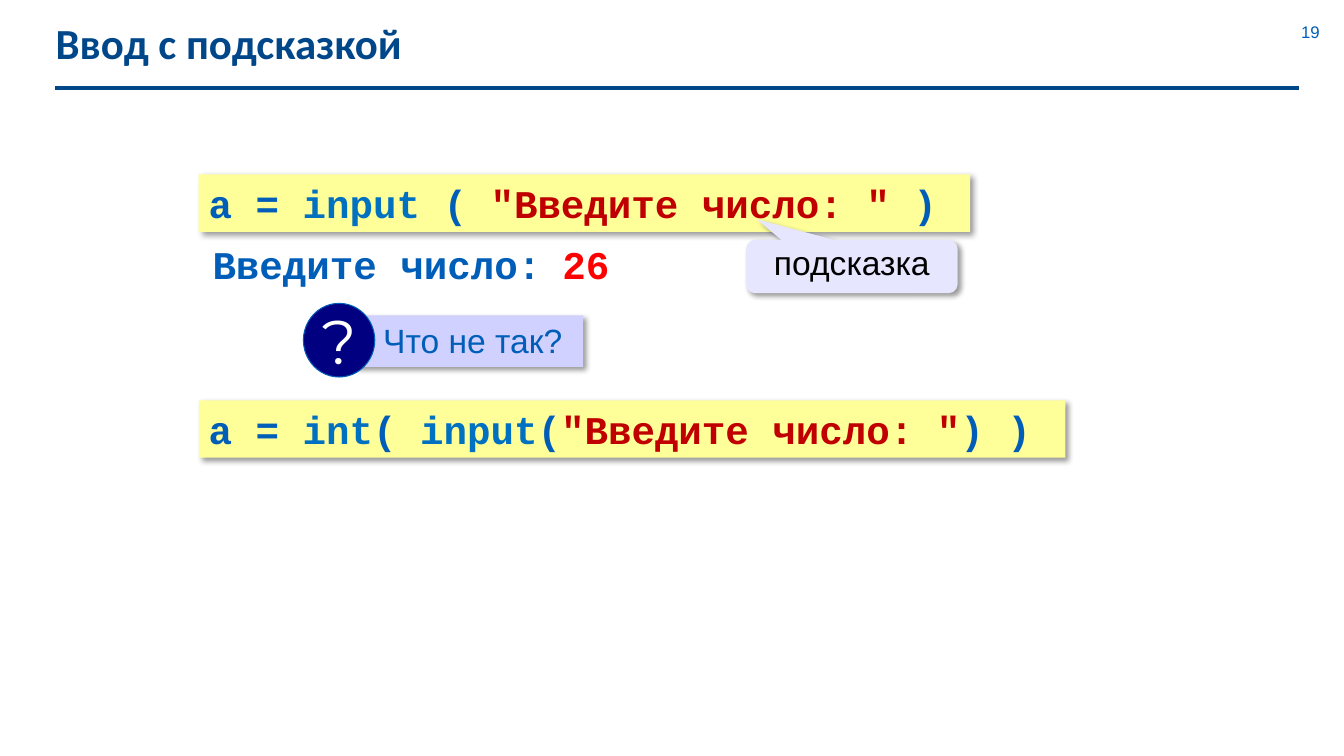
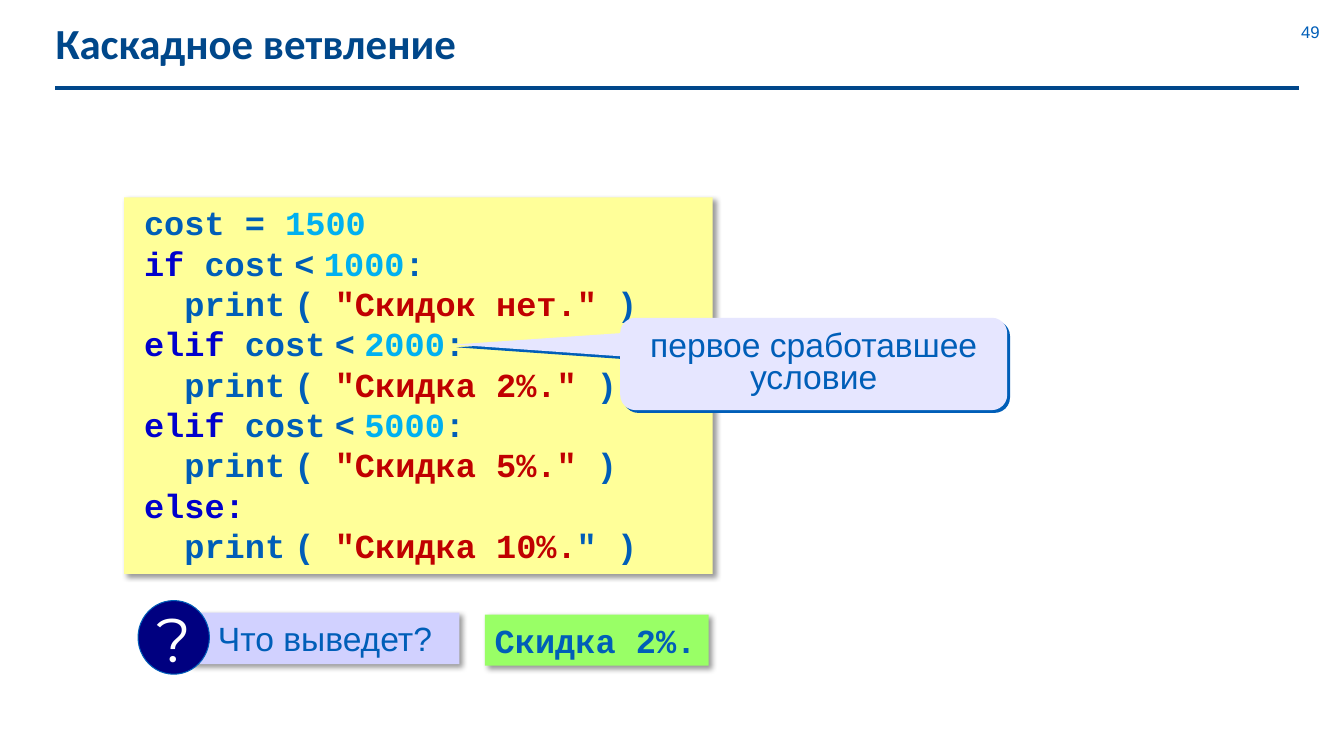
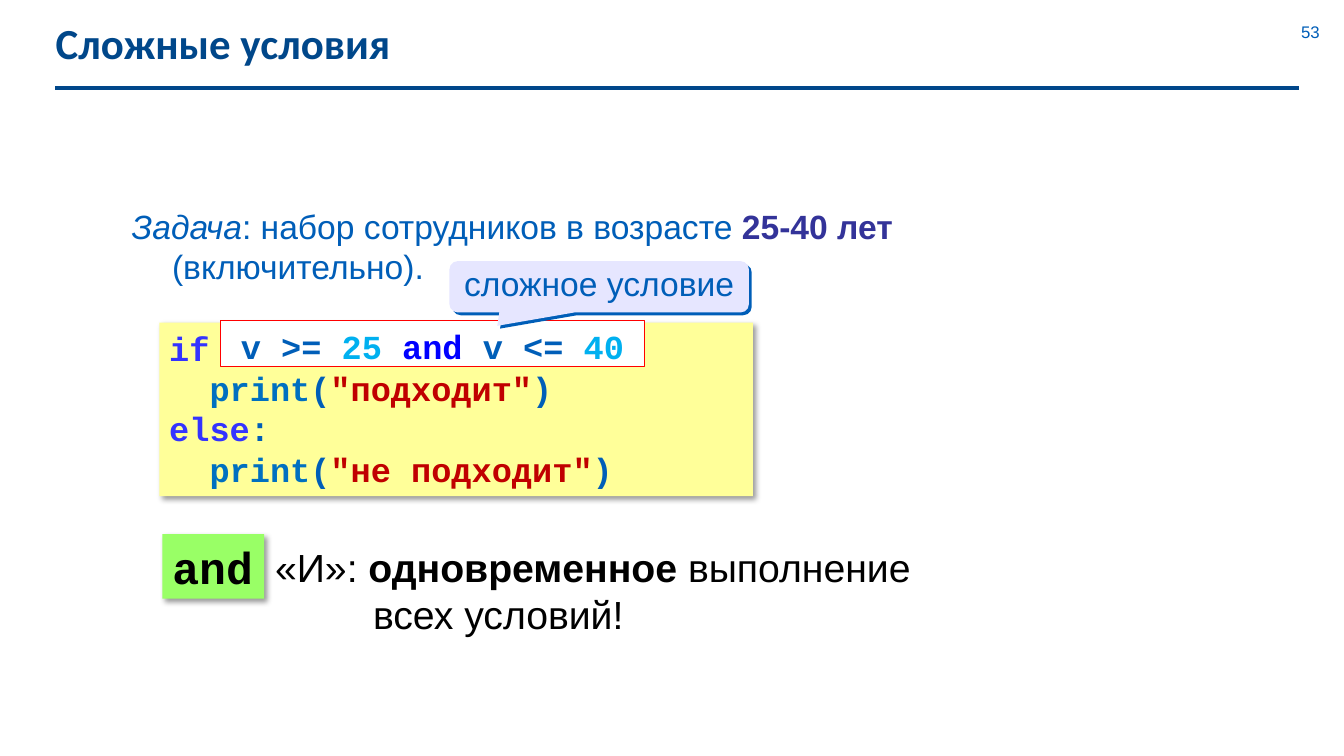
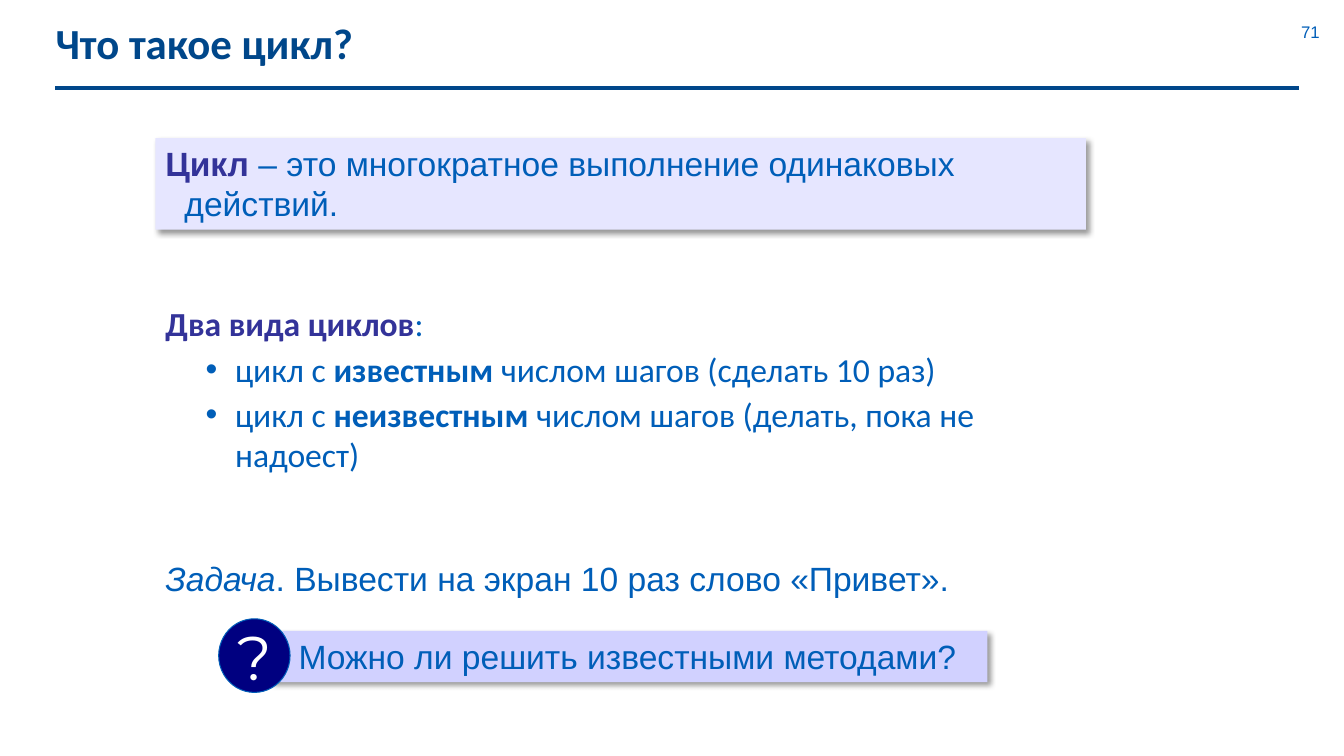
from dataclasses import dataclass

from lxml.etree import SubElement
from pptx import Presentation
from pptx.dml.color import RGBColor
from pptx.enum.shapes import MSO_CONNECTOR, MSO_SHAPE
from pptx.enum.text import MSO_ANCHOR, MSO_AUTO_SIZE, PP_ALIGN
from pptx.oxml.ns import qn
from pptx.util import Pt

INK, NAVY, BLACK, WHITE = "005EB8", "00478A", "000000", "FFFFFF"
STRING, NUMBER, BUILTIN, KEYWORD = "C00000", "00B0F0", "0070C0", "0000CC"
BRIGHT_KEYWORD, TERM, RED = "3333FF", "333399", "FF0000"
YELLOW, LILAC, LAVENDER, GREEN, DISC = "FFFF99", "D1D1FF", "E6E6FF", "99FF66", "000080"
SANS, MONO, HEADING, SIGN = "Arial", "Courier New", "Calibri", "Montserrat"
SOFT_SHADOW = (BLACK, 40, 4, 3)
HARD_SHADOW = (INK, 100, 0, 2.8)
LINE_HEIGHT = 1.2
CODE_STEP = 28.8


@dataclass
class Span:
    """A piece of text with one look."""
    text: str
    colour: str = INK
    bold: bool = False
    italic: bool = False
    font: str = ""


@dataclass
class Para:
    """A paragraph of spans with its indents, in points."""
    spans: list
    left: float = 0
    first: float = 0
    bullet: str = ""
    tab: float = 0
    before: float = 0


@dataclass
class Style:
    """The look shared by all paragraphs of one text."""
    size: float = 24
    font: str = SANS
    bold: bool = False
    align: PP_ALIGN = PP_ALIGN.LEFT
    spacing: float = LINE_HEIGHT


CODE = Style(font=MONO, bold=True)
LARGE_CODE = Style(28, MONO, True)
CALLOUT = Style(align=PP_ALIGN.CENTER, spacing=LINE_HEIGHT * 0.8)
THIN_SPACE = Span(" ", font=SANS)


def rgb(value):
    """Return the colour for a hex string."""
    return RGBColor.from_string(value)


def box_of(left, top, width, height):
    """Return four lengths in points."""
    return Pt(left), Pt(top), Pt(width), Pt(height)


def set_indents(para, item):
    """Set the margins, bullet and tab stop of a paragraph."""
    properties = para._p.get_or_add_pPr()
    properties.set("marL", str(Pt(item.left)))
    properties.set("indent", str(Pt(item.first)))
    if item.bullet:
        SubElement(properties, qn("a:buChar")).set("char", item.bullet)
    else:
        SubElement(properties, qn("a:buNone"))
    if item.tab:
        stops = SubElement(properties, qn("a:tabLst"))
        SubElement(stops, qn("a:tab"), pos=str(Pt(item.tab)), algn="l")


def write(frame, paras, style, anchor=MSO_ANCHOR.TOP, wrap=True):
    """Fill a text frame run by run."""
    frame.word_wrap = wrap
    frame.auto_size = MSO_AUTO_SIZE.NONE
    frame.vertical_anchor = anchor
    for index, item in enumerate(paras):
        para = frame.add_paragraph() if index else frame.paragraphs[0]
        para.alignment = style.align
        para.space_before = Pt(item.before)
        if style.spacing:
            para.line_spacing = Pt(round(style.size * style.spacing, 1))
        set_indents(para, item)
        for span in item.spans:
            run = para.add_run()
            run.text = span.text
            run.font.size = Pt(style.size)
            run.font.name = span.font or style.font
            run.font.bold = span.bold or style.bold
            run.font.italic = span.italic
            run.font.color.rgb = rgb(span.colour)


def add_shadow(shape, colour, alpha, blur, distance):
    """Give a shape an outer shadow falling to the lower right."""
    effects = shape.element.spPr.find(qn("a:effectLst"))
    outer = SubElement(effects, qn("a:outerShdw"), blurRad=str(Pt(blur)),
                       dist=str(Pt(distance)), dir="2700000", algn="tl", rotWithShape="0")
    tint = SubElement(outer, qn("a:srgbClr"), val=colour)
    SubElement(tint, qn("a:alpha"), val=str(alpha * 1000))


def add_panel(shapes, kind, box, fill, shadow=SOFT_SHADOW, outline=None):
    """Add a filled shape."""
    panel = shapes.add_shape(kind, *box_of(*box))
    panel.shadow.inherit = False
    panel.fill.solid()
    panel.fill.fore_color.rgb = rgb(fill)
    if outline:
        panel.line.color.rgb = rgb(outline)
        panel.line.width = Pt(0.75)
    else:
        panel.line.fill.background()
    if shadow:
        add_shadow(panel, *shadow)
    return panel


def add_card(page, box, fill, paras, style, wrap=True):
    """Add a rectangle with a soft shadow and text."""
    card = add_panel(page.shapes, MSO_SHAPE.RECTANGLE, box, fill)
    write(card.text_frame, paras, style, wrap=wrap)


def add_text(page, box, paras, style, anchor=MSO_ANCHOR.TOP):
    """Add a text box."""
    frame = page.shapes.add_textbox(*box_of(*box)).text_frame
    write(frame, paras, style, anchor)


def add_callout(page, box, tip, text, colour=INK, shadow=HARD_SHADOW):
    """Add a rounded callout whose tail ends at the given tip."""
    callout = add_panel(page.shapes, MSO_SHAPE.ROUNDED_RECTANGULAR_CALLOUT, box, LAVENDER, shadow)
    callout.adjustments[0], callout.adjustments[1] = tip
    write(callout.text_frame, [Para([Span(text, colour)])], CALLOUT, MSO_ANCHOR.MIDDLE)


def add_question(page, left, top, width, text):
    """Add a question bar with a round question mark."""
    shapes = page.shapes.add_group_shape().shapes
    bar = add_panel(shapes, MSO_SHAPE.RECTANGLE, (left + 36.5, top + 8.6, width, 36.7), LILAC)
    write(bar.text_frame, [Para([Span(text)], left=13.5)], Style())
    disc = add_panel(shapes, MSO_SHAPE.OVAL, (left, top, 51, 52.6), DISC, None, INK)
    write(disc.text_frame, [Para([Span("?", WHITE)])],
          Style(44, SIGN, align=PP_ALIGN.CENTER, spacing=0), MSO_ANCHOR.MIDDLE, False)


def prepare_master(deck):
    """Place the title on the master."""
    title = deck.slide_master.placeholders[0]
    title.left, title.top, title.width, title.height = box_of(32.5, 12, 879, 37.5)


def share_rule(deck):
    """Draw the rule below the title and move it to the master."""
    rule = deck.slides[0].shapes.add_connector(MSO_CONNECTOR.STRAIGHT, Pt(39.6), Pt(62.6),
                                               Pt(928), Pt(62.6))
    rule.line.color.rgb = rgb(NAVY)
    rule.line.width = Pt(3)
    SubElement(rule.element.spPr, qn("a:effectLst"))
    deck.slide_master.shapes.element.append(rule.element)


def add_page(deck, title, number, layout=5):
    """Add a slide with its title and page number."""
    page = deck.slides.add_slide(deck.slide_layouts[layout])
    frame = page.shapes.title.text_frame
    write(frame, [Para([Span(title, NAVY)])], Style(30.6, HEADING, True, spacing=0))
    frame.margin_top = 0
    add_text(page, (912, 15.8, 48, 14.4), [Para([Span(str(number))])],
             Style(12, align=PP_ALIGN.CENTER), MSO_ANCHOR.MIDDLE)
    return page


def build_prompt(deck):
    """Build the slide on input with a prompt."""
    page = add_page(deck, "Ввод с подсказкой", 19)
    prompt = Span('"Введите число: "', STRING)
    read = Span("input", BUILTIN)
    add_card(page, (142, 124.6, 551, 41), YELLOW,
             [Para([Span("a = "), read, Span(" ( "), prompt, Span(" )")])], LARGE_CODE)
    add_callout(page, (533, 171.4, 151, 38), (-0.45, -0.89), "подсказка", BLACK, SOFT_SHADOW)
    add_text(page, (144.7, 168, 250.5, 41), [Para([Span("Введите число:")])], LARGE_CODE)
    add_text(page, (394.6, 168, 48.5, 41), [Para([Span("26", RED)])], LARGE_CODE)
    add_question(page, 216.7, 216.7, 163.4, "Что не так?")
    add_card(page, (142, 286, 619, 41), YELLOW,
             [Para([Span("a = "), Span("int", BUILTIN), Span("( "), read, Span("("),
                    prompt, Span(") )")])], LARGE_CODE)


def branch(word, limit):
    """Return a condition line of the cascade."""
    return Para([Span(word, KEYWORD), Span(" cost"), THIN_SPACE, Span("<"), THIN_SPACE,
                 Span(limit, NUMBER), Span(":")], left=7.2)


def discount(message, quote=STRING):
    """Return an indented print line of the cascade."""
    return Para([Span("print"), THIN_SPACE, Span("( "), Span('"' + message, STRING),
                 Span('"', quote), Span(" )")], left=7.2 + CODE_STEP)


def build_cascade(deck):
    """Build the slide on cascaded branching."""
    page = add_page(deck, "Каскадное ветвление", 49)
    lines = [Para([Span("cost = "), Span("1500", NUMBER)], left=7.2)]
    for word, limit, message in (("if", "1000", "Скидок нет."),
                                 ("elif", "2000", "Скидка 2%."),
                                 ("elif", "5000", "Скидка 5%.")):
        lines += [branch(word, limit), discount(message)]
    lines += [Para([Span("else:", KEYWORD)], left=7.2), discount("Скидка 10%.", INK)]
    add_card(page, (88.6, 141, 420.5, 269), YELLOW, lines, CODE)
    add_question(page, 98.6, 429, 193, "Что выведет?")
    add_callout(page, (443, 227, 276.5, 66), (-0.93, -0.21), "первое сработавшее условие")
    add_card(page, (346.3, 439, 160, 36.5), GREEN, [Para([Span("Скидка 2%.")])], CODE, False)


def build_conditions(deck):
    """Build the slide on compound conditions."""
    page = add_page(deck, "Сложные условия", 53)
    add_text(page, (87, 143.3, 663, 65.5),
             [Para([Span("Задача", italic=True), Span(": набор сотрудников в возрасте "),
                    Span("25-40 лет ", TERM, True), Span("(включительно).")],
                   CODE_STEP, -CODE_STEP)], Style())
    answers = [Para([Span("print", BUILTIN), Span("("), Span(text, STRING), Span(")")], CODE_STEP)
               for text in ('"подходит"', '"не подходит"')]
    add_card(page, (113.8, 230.4, 424, 124), YELLOW,
             [Para([Span("if", BRIGHT_KEYWORD), Span("\t:")], tab=345.6), answers[0],
              Para([Span("else", BRIGHT_KEYWORD), Span(":")]), answers[1]], CODE)
    add_card(page, (116, 381.6, 72.7, 46), GREEN, [Para([Span("and", BLACK)])],
             Style(32, MONO, True), False)
    condition = add_panel(page.shapes, MSO_SHAPE.RECTANGLE, (157.7, 229, 302.4, 32.5),
                          WHITE, None, RED)
    condition.text_frame.margin_bottom = 0
    write(condition.text_frame,
          [Para([Span("v >= "), Span("25 ", NUMBER), Span("and", "0000FF"),
                 Span(" v <= "), Span("40", NUMBER)])],
          Style(font=MONO, bold=True, align=PP_ALIGN.CENTER))
    add_callout(page, (321, 186.5, 214, 36.7), (-0.34, 0.76), "сложное условие")
    add_text(page, (189.4, 384.5, 482, 75),
             [Para([Span("«И»: ", BLACK), Span("одновременное", BLACK, True),
                    Span(" выполнение", BLACK)]),
              Para([Span("всех условий!", BLACK)], left=70)], Style(28))


def build_loops(deck):
    """Build the slide on what a loop is."""
    page = add_page(deck, "Что такое цикл?", 71, 1)
    add_card(page, (111, 98.6, 664.6, 65.5), LAVENDER,
             [Para([Span("Цикл ", TERM, True),
                    Span("– это многократное выполнение одинаковых действий.")], 13.7, -13.7)], Style())
    body = page.placeholders[1]
    body.left, body.top, body.width, body.height = box_of(111, 213, 664.6, 132.5)
    kinds = [Para([Span("цикл с "), Span(word, bold=True), Span(" числом шагов " + remark)],
                  49.7, -21, "•", before=3.6)
             for word, remark in (("известным", "(сделать 10 раз)"),
                                  ("неизвестным", "(делать, пока не надоест)"))]
    write(body.text_frame, [Para([Span("Два вида циклов", TERM, True), Span(":")])] + kinds,
          Style(font=HEADING, spacing=0))
    add_text(page, (111, 395.3, 657, 36.7),
             [Para([Span("Задача", italic=True),
                    Span(". Вывести на экран 10 раз слово «Привет».")])], Style())
    add_question(page, 156.2, 442, 512.6, "Можно ли решить известными методами?")


def main():
    """Build and save the deck."""
    deck = Presentation()
    deck.slide_width, deck.slide_height = Pt(960), Pt(540)
    prepare_master(deck)
    for build in (build_prompt, build_cascade, build_conditions, build_loops):
        build(deck)
    share_rule(deck)
    deck.save("out.pptx")


if __name__ == "__main__":
    main()
